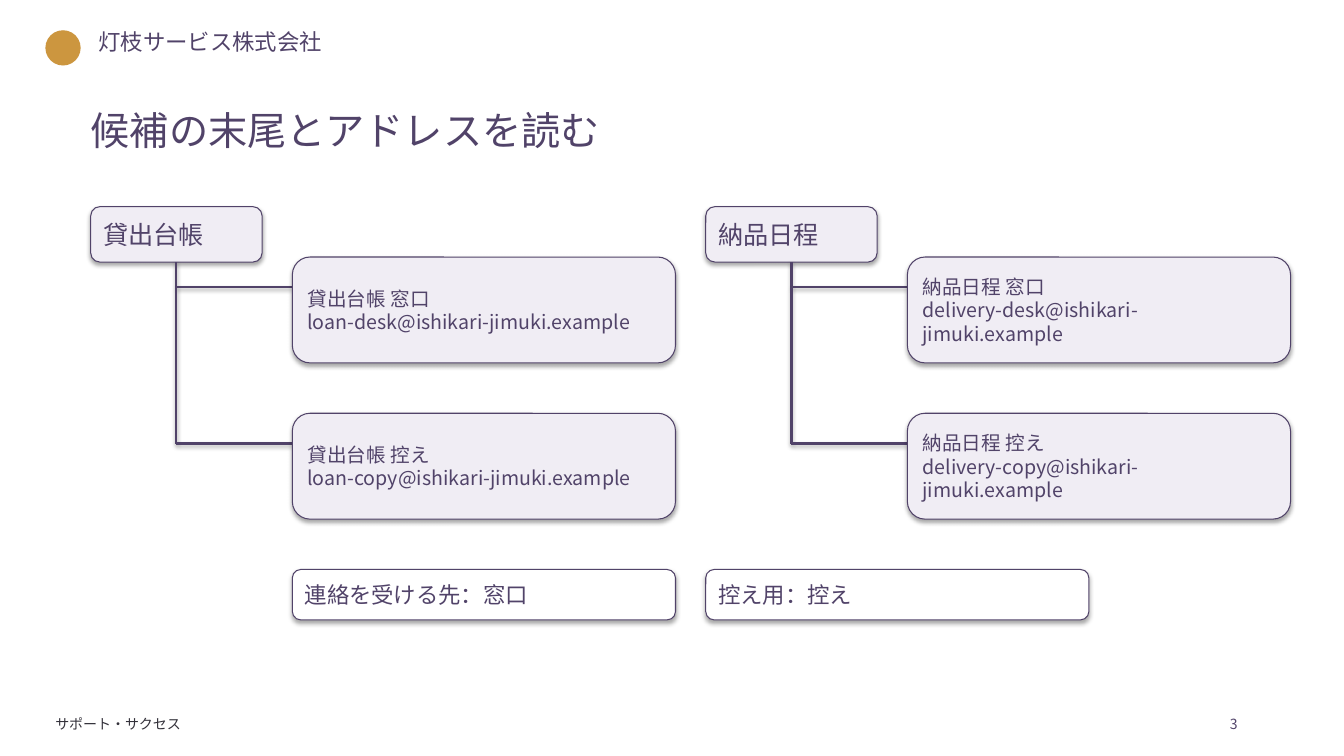
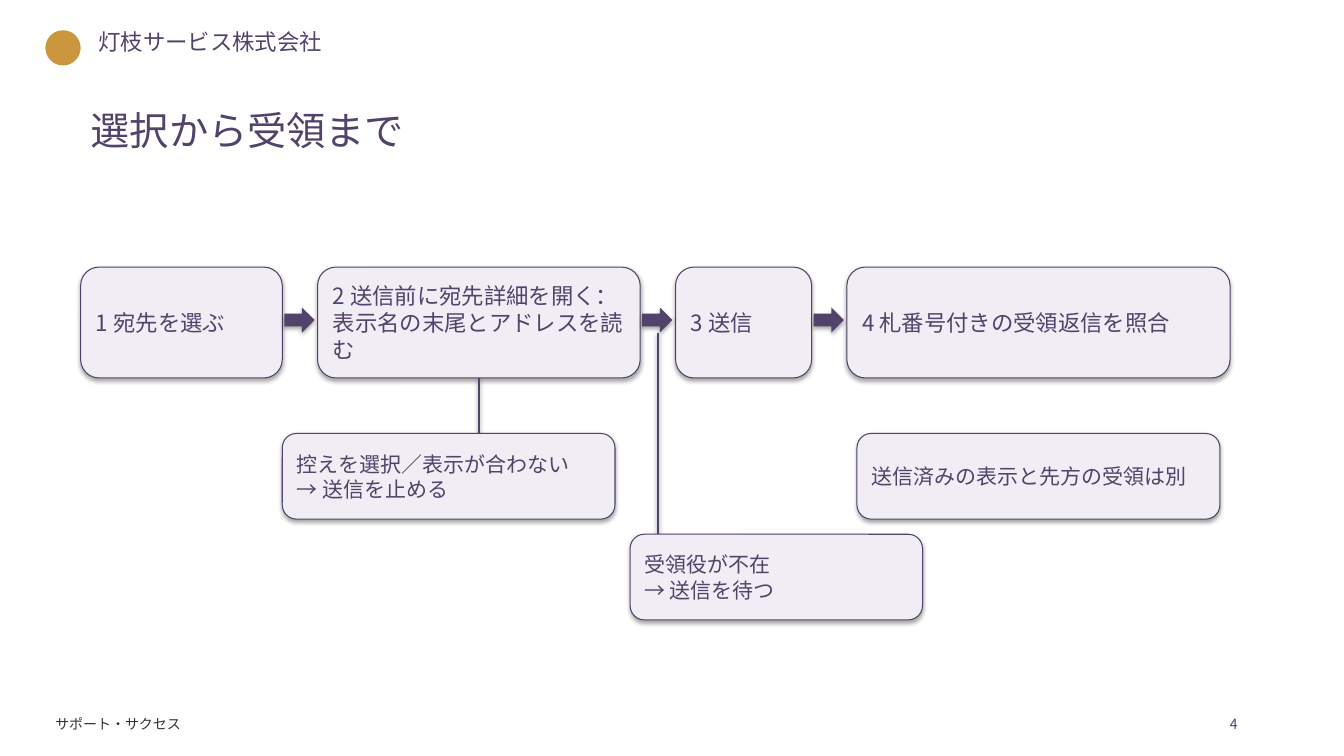
from pptx import Presentation
from pptx.dml.color import RGBColor
from pptx.enum.shapes import MSO_CONNECTOR, MSO_SHAPE
from pptx.enum.text import MSO_ANCHOR, MSO_AUTO_SIZE, PP_ALIGN
from pptx.oxml.ns import qn
from pptx.util import Inches, Pt
from lxml import etree

ROUNDED = MSO_SHAPE.ROUNDED_RECTANGLE
ARROW = MSO_SHAPE.RIGHT_ARROW
OVAL = MSO_SHAPE.OVAL
STRAIGHT = MSO_CONNECTOR.STRAIGHT
LEFT = PP_ALIGN.LEFT
TOP = MSO_ANCHOR.TOP
MIDDLE = MSO_ANCHOR.MIDDLE
FIT_SHAPE = MSO_AUTO_SIZE.SHAPE_TO_FIT_TEXT

FONT = "Noto Sans CJK JP"
COLORS = {
    "plum": "514369",
    "mist": "F0EDF4",
    "white": "FFFFFF",
    "gold": "CC963F",
    "ink": "33313A",
}


def color(name):
    return RGBColor.from_string(COLORS[name])


class Deck:
    def __init__(self):
        self.presentation = Presentation()
        self.presentation.slide_width = Inches(13.33)
        self.presentation.slide_height = Inches(7.5)
        self.slide = None

    def add_text(self, frame, lines, size, tone="plum"):
        for index, line in enumerate(lines):
            paragraph = frame.paragraphs[0] if index == 0 else frame.add_paragraph()
            paragraph.alignment = LEFT
            run = paragraph.add_run()
            run.text = line
            run.font.size = Pt(size)
            run.font.name = FONT
            run.font.color.rgb = color(tone)
            east_asian = etree.SubElement(run._r.get_or_add_rPr(), qn("a:ea"))
            east_asian.set("typeface", FONT)

    def add_slide(self, title, number):
        layout = self.presentation.slide_layouts[5]
        self.slide = self.presentation.slides.add_slide(layout)
        self.mark()
        self.label(0.88, 0.23, 2.9, 0.45, "灯枝サービス株式会社", 16)
        self.label(0.45, 7.05, 2.1, 0.25, "サポート・サクセス", 10, "ink")
        self.title(title)
        self.label(12.1, 7.05, 0.45, 0.25, str(number), 10, wrap=True)

    def title(self, text):
        shape = self.slide.shapes.title
        shape.left, shape.top = Inches(0.8), Inches(1)
        shape.width, shape.height = Inches(11.7), Inches(0.8)
        shape.text_frame.vertical_anchor = TOP
        self.add_text(shape.text_frame, [text], 28)

    def mark(self):
        shape = self.shape(OVAL, 0.45, 0.3, 0.35, 0.35, "gold")
        shape.shadow.inherit = False

    def label(self, left, top, width, height, text, size, tone="plum", wrap=False):
        shape = self.slide.shapes.add_textbox(
            Inches(left), Inches(top), Inches(width), Inches(height))
        shape.text_frame.word_wrap = wrap
        shape.text_frame.auto_size = FIT_SHAPE
        self.add_text(shape.text_frame, [text], size, tone)

    def shape(self, kind, left, top, width, height, fill):
        shape = self.slide.shapes.add_shape(
            kind, Inches(left), Inches(top), Inches(width), Inches(height))
        shape.fill.solid()
        shape.fill.fore_color.rgb = color(fill)
        shape.line.fill.background()
        return shape

    def box(self, left, top, width, height, lines, size, fill="mist"):
        shape = self.shape(ROUNDED, left, top, width, height, fill)
        shape.line.color.rgb = color("plum")
        shape.line.width = Pt(0.75)
        shape.text_frame.word_wrap = True
        shape.text_frame.vertical_anchor = MIDDLE
        self.add_text(shape.text_frame, lines, size)

    def arrow(self, left, top):
        self.shape(ARROW, left, top, 0.3, 0.25, "plum")

    def line(self, start_x, start_y, end_x, end_y):
        connector = self.slide.shapes.add_connector(
            STRAIGHT, Inches(start_x), Inches(start_y), Inches(end_x), Inches(end_y))
        connector.line.color.rgb = color("plum")
        connector.line.width = Pt(1.5)

    def tree(self, left, name, addresses):
        trunk, branch_left = left + 0.85, left + 2
        self.box(left, 2.05, 1.7, 0.55, [name], 18)
        joint = 2.6
        for index in range(len(addresses)):
            branch = 2.85 + 1.55 * index
            self.line(trunk, joint, trunk, branch)
            self.line(trunk, branch, branch_left, branch)
            joint = branch
        for index, (role, address) in enumerate(addresses):
            top = 2.55 + 1.55 * index
            self.box(branch_left, top, 3.8, 1.05, [f"{name} {role}", address], 14)


def address_slide(deck):
    deck.add_slide("候補の末尾とアドレスを読む", 3)
    trees = [(0.9, "貸出台帳", "loan"), (7, "納品日程", "delivery")]
    for left, name, prefix in trees:
        deck.tree(left, name, [
            ("窓口", f"{prefix}-desk@ishikari-jimuki.example"),
            ("控え", f"{prefix}-copy@ishikari-jimuki.example"),
        ])
    for left, text in [(2.9, "連絡を受ける先：窓口"), (7, "控え用：控え")]:
        deck.box(left, 5.65, 3.8, 0.5, [text], 16, "white")


def process_slide(deck):
    deck.add_slide("選択から受領まで", 4)
    steps = [
        (2, ["1 宛先を選ぶ"]),
        (3.2, ["2 送信前に宛先詳細を開く：", "表示名の末尾とアドレスを読む"]),
        (1.35, ["3 送信"]),
        (3.8, ["4 札番号付きの受領返信を照合"]),
    ]
    gap = 0.35
    left = 0.8
    for index, (width, lines) in enumerate(steps):
        if index:
            deck.arrow(left - gap + 0.02, 3.05)
        deck.box(left, 2.65, width, 1.1, lines, 16)
        left += width + gap

    deck.line(4.75, 3.75, 4.75, 4.3)
    deck.line(6.53, 3.3, 6.53, 5.3)
    notes = [
        (2.8, 4.3, 3.3, ["控えを選択／表示が合わない", "→ 送信を止める"]),
        (6.25, 5.3, 2.9, ["受領役が不在", "→ 送信を待つ"]),
        (8.5, 4.3, 3.6, ["送信済みの表示と先方の受領は別"]),
    ]
    for left, top, width, lines in notes:
        deck.box(left, top, width, 0.85, lines, 15)


def main():
    deck = Deck()
    address_slide(deck)
    process_slide(deck)
    deck.presentation.save("out.pptx")


if __name__ == "__main__":
    main()
